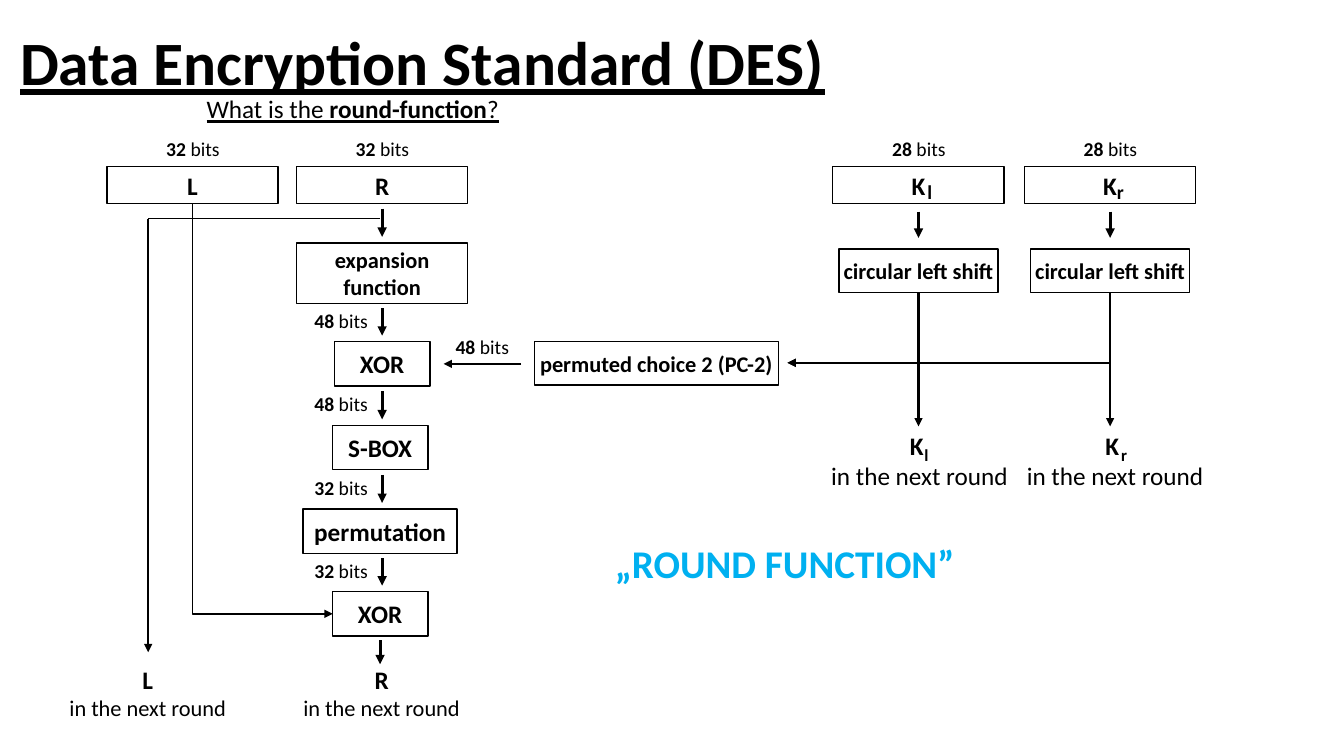
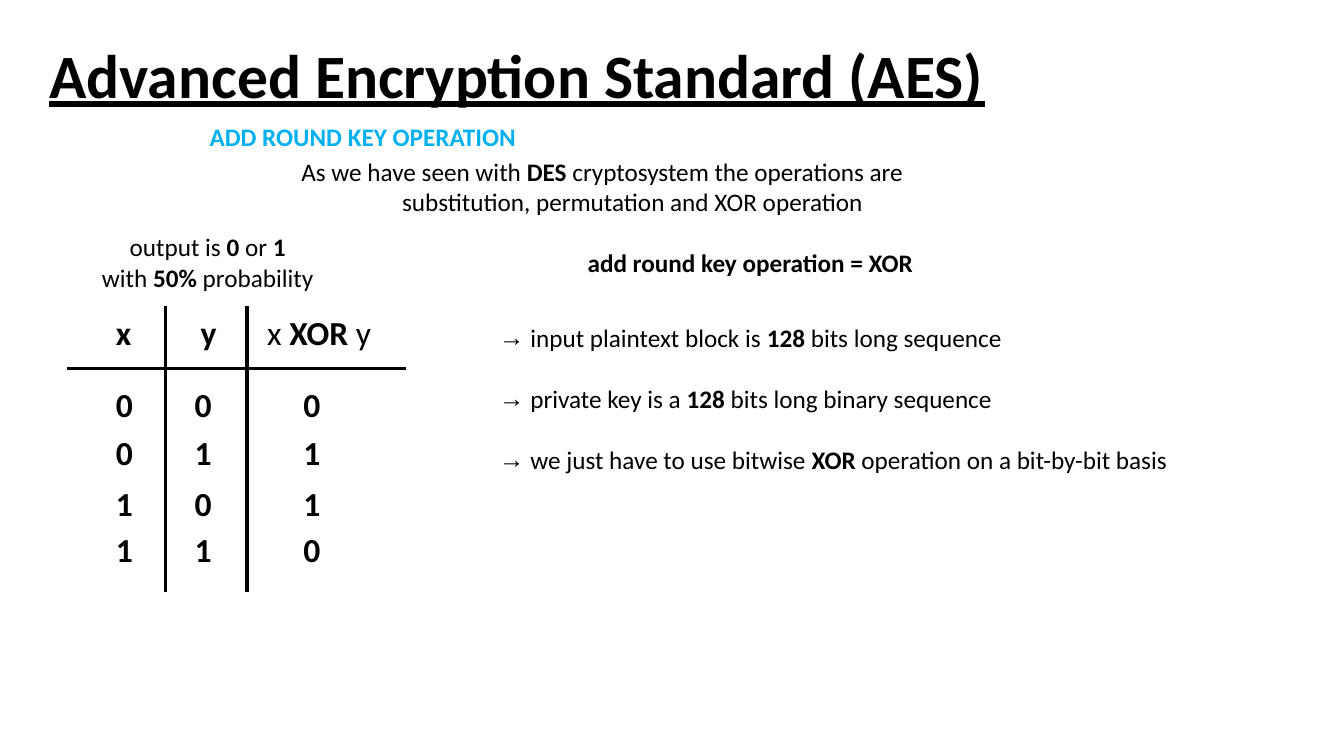
"""Builds two slides on the DES round function and the AES add round key step."""
from lxml import etree
from pptx import Presentation
from pptx.dml.color import RGBColor
from pptx.enum.shapes import MSO_CONNECTOR, MSO_SHAPE
from pptx.enum.text import MSO_ANCHOR, MSO_AUTO_SIZE, PP_ALIGN
from pptx.oxml.ns import qn
from pptx.util import Inches, Pt

BLACK = RGBColor(0, 0, 0)
WHITE = RGBColor(255, 255, 255)
BLUE = RGBColor(0x00, 0xB0, 0xF0)
FONT = "Calibri"
LEFT, MID = PP_ALIGN.LEFT, PP_ALIGN.CENTER
STRAIGHT, RECT = MSO_CONNECTOR.STRAIGHT, MSO_SHAPE.RECTANGLE
CENTRE, TOP = MSO_ANCHOR.MIDDLE, MSO_ANCHOR.TOP
GROW, FIXED = MSO_AUTO_SIZE.SHAPE_TO_FIT_TEXT, MSO_AUTO_SIZE.NONE
PLAIN = "{2D5ABB26-0587-4C30-8999-92F81FD0307C}"

L_COL, R_COL, KL_COL, KR_COL = 1.91, 3.79, 9.11, 11.01
LOW_COL = 3.77
REG_TOP, REG_W, REG_H = 1.65, 1.7, 0.37
REGS = [("L", L_COL, "32"), ("R", R_COL, "32"), ("K", KL_COL, "28"), ("K", KR_COL, "28")]
STEPS = [
    ("expansion function", R_COL, 2.41, 1.7, 0.6, 16, None),
    ("XOR", R_COL, 3.39, 0.95, 0.44, 18, "48"),
    ("S-BOX", LOW_COL, 4.22, 0.95, 0.44, 18, "48"),
    ("permutation", LOW_COL, 5.05, 1.53, 0.44, 18, "32"),
    ("XOR", LOW_COL, 5.87, 0.95, 0.44, 18, "32"),
]
KEYS = [("l", KL_COL, 9.1, 9.07, 8.13), ("r", KR_COL, 10.98, 11.02, 10.07)]
NEXT = "in the next round"

TRUTH = [("**x**", "**y**", "x **XOR** y"), "000", "011", "101", "110"]
GRID_X, GRID_Y = 0.66, 3.04
COLS = [0.98, 0.81, 1.58]
ROWS = [0.62, 0.6, 0.48, 0.48, 0.65]
TOPS = [0.07, 0.17, 0.04, 0.07, 0.04]
HEAD_PAD, BODY_PAD = [0.49, 0.35, 0.2], [0.49, 0.29, 0.56]
POINTS = [
    "input plaintext block is **128** bits long sequence",
    "private key is a **128** bits long binary sequence",
    "we just have to use bitwise **XOR** operation on a bit-by-bit basis",
]


def write(para, text, size, color=BLACK, line=False):
    """Writes text whose bold parts stand between double stars."""
    for i, part in enumerate(text.split("**")):
        if part:
            run = para.add_run()
            run.text = part
            font = run.font
            font.name, font.size, font.bold = FONT, Pt(size), i % 2 == 1
            font.underline = line
            font.color.rgb = color


def place(shape, *spot):
    """Moves a shape to left, top, width and height in inches."""
    shape.left, shape.top, shape.width, shape.height = map(Inches, spot)


def title(slide, text, x, y):
    """Fills the title in the shared style."""
    shape = slide.shapes.title
    place(shape, x, y, 11.5, 1.45)
    frame = shape.text_frame
    frame.auto_size, frame.vertical_anchor = FIXED, CENTRE
    para = frame.paragraphs[0]
    para.alignment, para.line_spacing = LEFT, 0.9
    write(para, f"**{text}**", 44, line=True)


def note(slide, lines, spot, size=18, align=LEFT, color=BLACK, line=False, wrap=False):
    """Adds a text box; a line may carry its own size."""
    box = slide.shapes.add_textbox(*map(Inches, spot))
    frame = box.text_frame
    frame.word_wrap, frame.auto_size = wrap, GROW
    for i, item in enumerate([lines] if isinstance(lines, str) else lines):
        text, points = (item, size) if isinstance(item, str) else item
        para = frame.add_paragraph() if i else frame.paragraphs[0]
        para.alignment = align
        write(para, text, points, color, line)
    return frame


def bits(slide, count, x, y):
    """Labels a path with its width in bits."""
    note(slide, f"**{count}** bits", (x, y, 0.74, 0.34), 14)


def box(slide, text, mid, y, w, h, size=18, wrap=True):
    """Adds a framed step centred on a column."""
    shape = slide.shapes.add_shape(RECT, *map(Inches, (mid - w / 2, y, w, h)))
    shape.shadow.inherit = False
    shape.fill.solid()
    shape.fill.fore_color.rgb = WHITE
    shape.line.color.rgb, shape.line.width = BLACK, Pt(1)
    frame = shape.text_frame
    frame.word_wrap, frame.vertical_anchor = wrap, CENTRE
    frame.paragraphs[0].alignment = MID
    write(frame.paragraphs[0], f"**{text}**", size)
    return shape


def link(slide, x1, y1, x2, y2, width=1, head=True):
    """Draws a straight line, with an arrowhead if asked."""
    line = slide.shapes.add_connector(STRAIGHT, *map(Inches, (x1, y1, x2, y2)))
    line.line.color.rgb, line.line.width = BLACK, Pt(width)
    if head:
        etree.SubElement(line.line._get_or_add_ln(), qn("a:tailEnd"), type="triangle")
    etree.SubElement(line._element.spPr, qn("a:effectLst"))
    return line


def elbow(slide, x1, y1, x2, y2, width=1):
    """Draws an arrow that runs down and then turns sideways."""
    w, h = y2 - y1, abs(x2 - x1)
    x, y = (x1 + x2 - w) / 2, (y1 + y2 - h) / 2
    props = link(slide, x, y, x + w, y + h, width)._element.spPr
    props.find(qn("a:prstGeom")).set("prst", "bentConnector2")
    frame = props.find(qn("a:xfrm"))
    frame.set("rot", str((90 if x2 < x1 else 270) * 60000))
    if x2 > x1:
        frame.set("flipH", "1")


def des(slide):
    """Lays out the round function."""
    title(slide, "Data Encryption Standard (DES)", 0.1, -0.07)
    note(slide, "What is the **round-function**?", (1.95, 0.88, 3.11, 0.4), line=True)
    for name, mid, count in REGS:
        box(slide, name, mid, REG_TOP, REG_W, REG_H)
        bits(slide, count, mid - 0.36, 1.31)

    base = REG_TOP + REG_H
    for text, mid, y, w, h, size, count in STEPS:
        box(slide, text, mid, y, w, h, size)
        link(slide, R_COL, base + 0.05, R_COL, y - 0.06, 2.25)
        if count:
            bits(slide, count, 3.02, base + 0.01)
        base = y + h
    link(slide, LOW_COL, base + 0.04, LOW_COL, 6.59, 2.25)

    for sub, mid, x, low, left in KEYS:
        note(slide, f"**{sub}**", (x, 1.74, 0.26, 0.34), 14)
        link(slide, mid, 2.1, mid, 2.36, 2.25)
        shift = box(slide, "circular left shift", mid, 2.47, 1.58, 0.43, 16, False)
        link(slide, mid, 2.9, mid, 4.23, 1.5).begin_connect(shift, 2)
        elbow(slide, mid, 3.07, 7.81, 3.6, 1.5)
        note(slide, ["**K **", NEXT], (left, 4.22, 1.98, 0.71), align=MID)
        note(slide, f"**{sub}**", (low, 4.36, 0.25, 0.3), 12)
    box(slide, "permuted choice 2 (PC-2)", 6.51, 3.39, 2.42, 0.43, 16, False)
    link(slide, 5.17, 3.61, 4.4, 3.61)
    bits(slide, "48", 4.42, 3.27)

    elbow(slide, L_COL, 2.02, 3.3, 6.09)
    link(slide, LOW_COL, 2.17, 1.47, 2.17, head=False)
    link(slide, 1.47, 2.17, 1.47, 6.47)
    for name, x in (("L", 0.58), ("R", 2.9)):
        note(slide, [(f"**{name}**", 18), (NEXT, 16)], (x, 6.54, 1.77, 0.67), align=MID)
    note(slide, "**„ROUND FUNCTION”**", (6, 5.3, 3.61, 0.57), 28, color=BLUE)


def truth(slide):
    """Adds the XOR table and its inner rules."""
    w, h = sum(COLS), sum(ROWS)
    spot = (GRID_X, GRID_Y, w, h)
    table = slide.shapes.add_table(len(ROWS), len(COLS), *map(Inches, spot)).table
    table.first_row = table.horz_banding = False
    table._tbl.tblPr.find(qn("a:tableStyleId")).text = PLAIN
    for col, wide in zip(table.columns, COLS):
        col.width = Inches(wide)
    for r, (row, high) in enumerate(zip(table.rows, ROWS)):
        row.height = Inches(high)
        for c, cell in enumerate(row.cells):
            pad = BODY_PAD if r else HEAD_PAD
            cell.margin_left, cell.margin_top = Inches(pad[c]), Inches(TOPS[r])
            cell.margin_right = cell.margin_bottom = 0
            cell.vertical_anchor = TOP
            cell.fill.background()
            text = TRUTH[r][c]
            write(cell.text_frame.paragraphs[0], f"**{text}**" if r else text, 24)
    y = GRID_Y + ROWS[0]
    link(slide, GRID_X, y, GRID_X + w, y, 2.25, False)
    for count in (1, 2):
        x = GRID_X + sum(COLS[:count])
        link(slide, x, GRID_Y, x, GRID_Y + h, 2.25, False)


def points(slide):
    """Fills the body with the arrow list."""
    body = slide.placeholders[1]
    place(body, 4.85, 3.15, 6.9, 1.62)
    frame = body.text_frame
    frame.auto_size, frame.vertical_anchor = FIXED, TOP
    for i, text in enumerate(POINTS):
        para = frame.add_paragraph() if i else frame.paragraphs[0]
        props = para._p.get_or_add_pPr()
        props.set("marL", str(Inches(0.31)))
        props.set("indent", str(-Inches(0.31)))
        etree.SubElement(props, qn("a:buChar"), char="→")
        para.space_before = Pt(22 if i else 0)
        write(para, text, 18)


def aes(slide):
    """Lays out the add round key slide."""
    title(slide, "Advanced Encryption Standard (AES)", 0.39, 0.05)
    note(slide, "**ADD ROUND KEY OPERATION**", (1.98, 1.15, 3.27, 0.4), color=BLUE)
    intro = ["As we have seen with **DES** cryptosystem the operations are",
             "substitution, permutation and XOR operation"]
    frame = note(slide, intro, (2.89, 1.5, 6.5, 0.71), wrap=True)
    frame.paragraphs[1]._p.get_or_add_pPr().set("marL", str(Inches(1)))
    note(slide, "**add round key operation = XOR**", (5.73, 2.4, 3.7, 0.4), wrap=True)
    chance = ["output is **0** or **1**", "with **50%** probability"]
    note(slide, chance, (0.88, 2.25, 2.36, 0.71), align=MID)
    truth(slide)
    points(slide)


def main():
    """Makes the deck and saves it."""
    deck = Presentation()
    deck.slide_width, deck.slide_height = Inches(13.33), Inches(7.5)
    for layout, build in ((5, des), (1, aes)):
        build(deck.slides.add_slide(deck.slide_layouts[layout]))
    deck.save("out.pptx")


if __name__ == "__main__":
    main()
